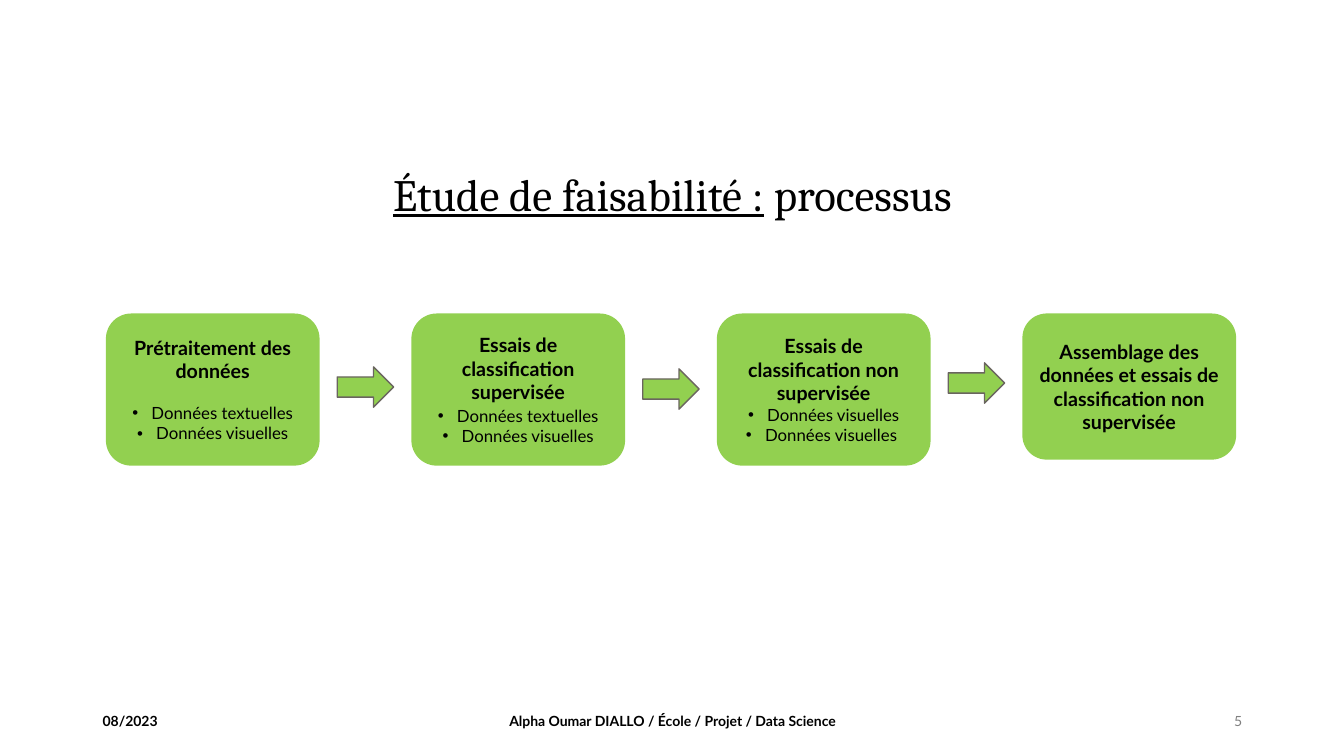
from lxml import etree
from pptx import Presentation
from pptx.dml.color import RGBColor
from pptx.enum.shapes import MSO_SHAPE
from pptx.enum.text import MSO_ANCHOR, PP_ALIGN
from pptx.oxml.ns import qn
from pptx.util import Inches, Pt

ROUNDED, ARROW = MSO_SHAPE.ROUNDED_RECTANGLE, MSO_SHAPE.RIGHT_ARROW
LEFT, CENTER, RIGHT = PP_ALIGN.LEFT, PP_ALIGN.CENTER, PP_ALIGN.RIGHT
MIDDLE = MSO_ANCHOR.MIDDLE

BLACK, GREY, GREEN, OUTLINE = "000000", "808080", "92D050", "6A655F"
TITLE_FORMAT = {"name": "Cambria", "size": Pt(32)}
STEP_FORMAT = {"name": "Lato", "size": Pt(14), "bold": True}
ITEM_FORMAT = {"name": "Lato", "size": Pt(12), "bold": False}
FOOTER_FORMAT = {"name": "Lato", "size": Pt(10), "bold": True}
NUMBER_FORMAT = {"name": "Lato", "size": Pt(10), "bold": False}

TITLE = [("Étude de faisabilité :", True), (" processus", False)]
# step, its items, points between step and items, box height
STEPS = [
    ("Prétraitement des données",
     ["Données textuelles", "Données visuelles"], 14.4, 1.51),
    ("Essais de classification supervisée",
     ["Données textuelles", "Données visuelles"], 1.2, 1.51),
    ("Essais de classification non supervisée",
     ["Données visuelles", "Données visuelles "], 0, 1.51),
    ("Assemblage des données et essais de classification non supervisée",
     [], 0, 1.45),
]
ARROW_TOPS = [3.64, 3.66, 3.6]
# text, left, width, alignment, format, colour
FOOTERS = [
    ("08/2023", 0.92, 3, LEFT, FOOTER_FORMAT, BLACK),
    ("Alpha Oumar DIALLO / École / Projet / Data Science",
     4.42, 4.5, CENTER, FOOTER_FORMAT, BLACK),
    ("5", 9.42, 3, RIGHT, NUMBER_FORMAT, GREY),
]

STEP_LEFT, STEP_TOP, STEP_WIDTH, STEP_PITCH = 1.05, 3.11, 2.12, 3.03
ARROW_WIDTH, ARROW_HEIGHT = 0.56, 0.4
FOOTER_TOP, FOOTER_HEIGHT = 6.95, 0.4
ITEM_INDENT = Inches(0.19)


def rgb(color):
    return RGBColor.from_string(color)


def add_run(paragraph, text, formats, color):
    run = paragraph.add_run()
    run.text = text
    for attribute, value in formats.items():
        setattr(run.font, attribute, value)
    run.font.color.rgb = rgb(color)
    return run


def add_bullet(paragraph):
    properties = paragraph._p.get_or_add_pPr()
    properties.set("marL", str(ITEM_INDENT))
    properties.set("indent", str(-ITEM_INDENT))
    etree.SubElement(properties, qn("a:buFont")).set("typeface", "Arial")
    etree.SubElement(properties, qn("a:buChar")).set("char", "•")


def add_text_box(left, top, width, height, alignment):
    """Return the first paragraph of a new, vertically centred text box."""
    frame = slide.shapes.add_textbox(
        Inches(left), Inches(top), Inches(width), Inches(height)).text_frame
    frame.word_wrap = True
    frame.vertical_anchor = MIDDLE
    frame.paragraphs[0].alignment = alignment
    return frame.paragraphs[0]


def add_green_shape(kind, left, top, width, height):
    shape = slide.shapes.add_shape(
        kind, Inches(left), Inches(top), Inches(width), Inches(height))
    shape.shadow.inherit = False
    shape.fill.solid()
    shape.fill.fore_color.rgb = rgb(GREEN)
    return shape


def add_step(left, step, items, gap, height):
    box = add_green_shape(ROUNDED, left, STEP_TOP, STEP_WIDTH, height)
    box.line.fill.background()
    frame = box.text_frame
    frame.word_wrap = True
    frame.vertical_anchor = MIDDLE
    for side in ("left", "right", "top", "bottom"):
        setattr(frame, f"margin_{side}", Inches(0.05))
    heading = frame.paragraphs[0]
    heading.alignment = CENTER
    add_run(heading, step, STEP_FORMAT, BLACK)
    for index, item in enumerate(items):
        paragraph = frame.add_paragraph()
        paragraph.alignment = CENTER
        add_bullet(paragraph)
        paragraph.space_before = Pt(0 if index else gap)
        add_run(paragraph, item, ITEM_FORMAT, BLACK)


prs = Presentation()
prs.slide_width, prs.slide_height = Inches(13.33), Inches(7.5)
slide = prs.slides.add_slide(prs.slide_layouts[6])

title = add_text_box(1.17, 1.64, 11, 0.62, CENTER)
title.line_spacing = 0.9
for text, underlined in TITLE:
    add_run(title, text, TITLE_FORMAT, BLACK).font.underline = underlined

for text, left, width, alignment, formats, color in FOOTERS:
    footer = add_text_box(left, FOOTER_TOP, width, FOOTER_HEIGHT, alignment)
    add_run(footer, text, formats, color)

for index, step in enumerate(STEPS):
    add_step(STEP_LEFT + index * STEP_PITCH, *step)

arrow_offset = (STEP_WIDTH + STEP_PITCH - ARROW_WIDTH) / 2
for index, top in enumerate(ARROW_TOPS):
    left = STEP_LEFT + index * STEP_PITCH + arrow_offset
    arrow = add_green_shape(ARROW, left, top, ARROW_WIDTH, ARROW_HEIGHT)
    arrow.line.color.rgb = rgb(OUTLINE)
    arrow.line.width = Pt(1)

prs.save("out.pptx")
